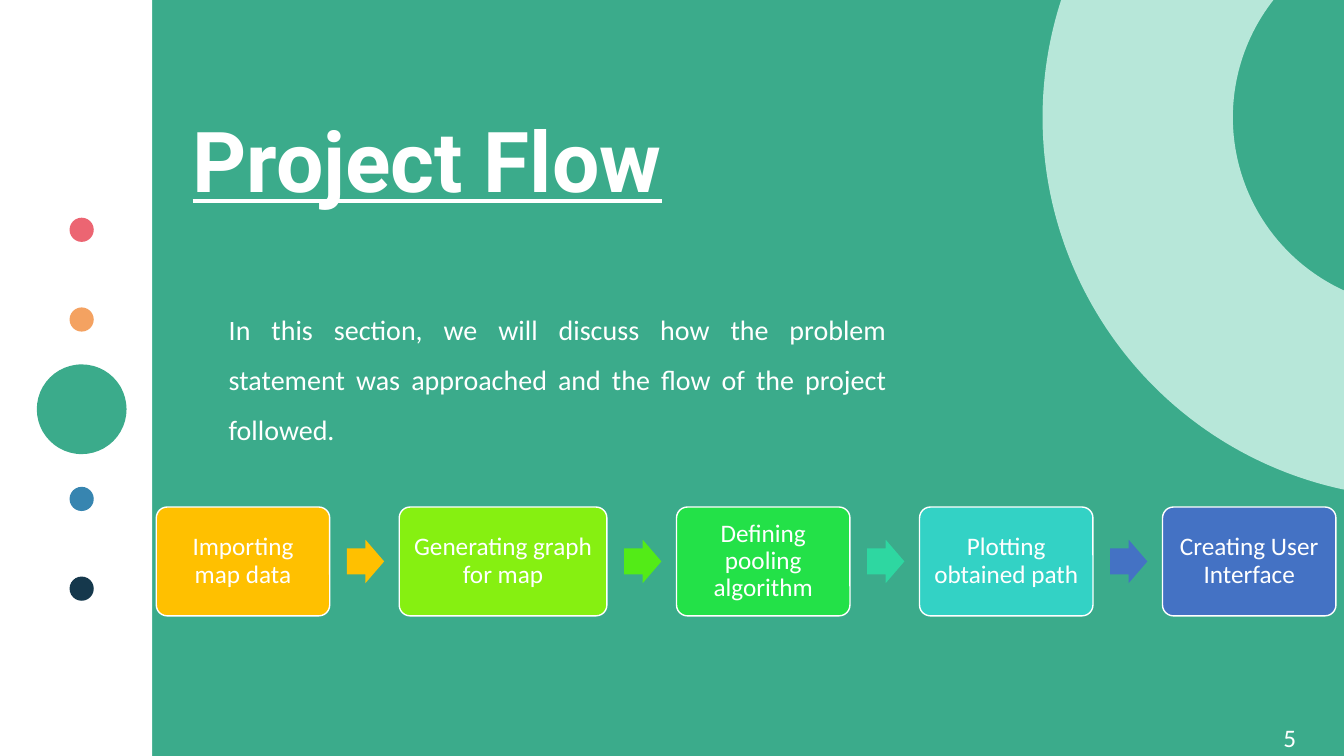
from pptx import Presentation
from pptx.dml.color import RGBColor
from pptx.enum.shapes import MSO_SHAPE
from pptx.enum.text import MSO_ANCHOR, MSO_AUTO_SIZE, PP_ALIGN
from pptx.util import Inches, Pt

# Content
TITLE = "Project Flow"
INTRO = ("In this section, we will discuss how the problem statement was "
         "approached and the flow of the project followed.")
PAGE_NUMBER = "5"
COLORS = {
    "green": "3BAB8B", "mint": "B7E7D9", "white": "FFFFFF",
    "coral": "EC6572", "orange": "F4A261", "blue": "3785B0", "navy": "15384C",
    "amber": "FFC000", "lime": "86F011", "leaf": "53EB17", "grass": "23E148",
    "sea": "2ED7A1", "turquoise": "33D2C5", "royal": "4472C4",
}
# Step text, box width, box colour, colour of the arrow after it
STEPS = [
    ("Importing map data", 1.72, "amber", "amber"),
    ("Generating graph for map", 2.06, "lime", "leaf"),
    ("Defining pooling algorithm", 1.72, "grass", "sea"),
    ("Plotting obtained path", 1.72, "turquoise", "royal"),
    ("Creating User Interface", 1.72, "royal", None),
]
# Colour and diameter of the markers in the side strip
MARKERS = [("coral", 0.24), ("orange", 0.24), ("green", 0.89),
           ("blue", 0.24), ("navy", 0.24)]

# Layout in inches
MARKER_X, MARKER_Y, MARKER_PITCH = 0.81, 2.28, 0.89
FLOW_LEFT, FLOW_TOP, STEP_HEIGHT, STEP_GAP = 1.55, 5.03, 1.08, 0.69
ARROW_OFFSET, ARROW_WIDTH, ARROW_HEIGHT = 0.17, 0.37, 0.43


def color(name):
    return RGBColor.from_string(COLORS[name])


def add_figure(page, kind, left, top, width, height, fill):
    figure = page.shapes.add_shape(kind, Inches(left), Inches(top),
                                   Inches(width), Inches(height))
    figure.shadow.inherit = False
    figure.fill.solid()
    figure.fill.fore_color.rgb = color(fill)
    figure.line.fill.background()
    return figure


def write(box, text, size, font="Calibri", align=PP_ALIGN.LEFT,
          anchor=MSO_ANCHOR.TOP):
    frame = box.text_frame
    frame.text = text
    frame.word_wrap = True
    frame.auto_size = MSO_AUTO_SIZE.NONE
    frame.vertical_anchor = anchor
    para = frame.paragraphs[0]
    para.alignment = align
    span = para.runs[0]
    span.font.size = Pt(size)
    span.font.name = font
    span.font.color.rgb = color("white")
    return para


def add_text(page, left, top, width, height, text, size, align=PP_ALIGN.LEFT):
    box = page.shapes.add_textbox(Inches(left), Inches(top),
                                  Inches(width), Inches(height))
    return write(box, text, size, align=align)


def add_flow(page):
    left = FLOW_LEFT
    for text, width, fill, arrow_fill in STEPS:
        step = add_figure(page, MSO_SHAPE.ROUNDED_RECTANGLE, left, FLOW_TOP,
                          width, STEP_HEIGHT, fill)
        step.adjustments[0] = 0.1
        step.line.color.rgb = color("white")
        step.line.width = Pt(1)
        frame = step.text_frame
        frame.margin_left = frame.margin_right = Inches(0.1)
        frame.margin_top = frame.margin_bottom = Inches(0.1)
        para = write(step, text, 18, align=PP_ALIGN.CENTER,
                     anchor=MSO_ANCHOR.MIDDLE)
        para.line_spacing = 0.9
        left += width
        if arrow_fill:
            arrow = add_figure(page, MSO_SHAPE.RIGHT_ARROW, left + ARROW_OFFSET,
                               FLOW_TOP + (STEP_HEIGHT - ARROW_HEIGHT) / 2,
                               ARROW_WIDTH, ARROW_HEIGHT, arrow_fill)
            arrow.adjustments[0] = 0.6
        left += STEP_GAP


def main():
    deck = Presentation()
    deck.slide_width, deck.slide_height = Inches(13.33), Inches(7.5)
    page = deck.slides.add_slide(deck.slide_layouts[5])
    page.background.fill.solid()
    page.background.fill.fore_color.rgb = color("green")

    # Ring and side strip with markers
    add_figure(page, MSO_SHAPE.DONUT, 10.34, -2.61, 7.55, 7.55, "mint")
    add_figure(page, MSO_SHAPE.RECTANGLE, 0, 0, 1.51, 7.5, "white")
    for index, (fill, size) in enumerate(MARKERS):
        middle = MARKER_Y + index * MARKER_PITCH
        add_figure(page, MSO_SHAPE.OVAL, MARKER_X - size / 2,
                   middle - size / 2, size, size, fill)

    # Title
    title = page.shapes.title
    title.left, title.top = Inches(1.81), Inches(1.03)
    title.width, title.height = Inches(5.2), Inches(1.11)
    heading = write(title, TITLE, 60, font="Roboto").runs[0]
    heading.font.bold = True
    heading.font.underline = True

    # Introduction and page number
    intro = add_text(page, 2.17, 2.88, 6.72, 1.56, INTRO, 20, PP_ALIGN.JUSTIFY)
    intro.line_spacing = 1.5
    add_text(page, 12.63, 7.12, 0.67, 0.4, PAGE_NUMBER, 18)

    # Process steps
    add_flow(page)
    deck.save("out.pptx")


if __name__ == "__main__":
    main()
